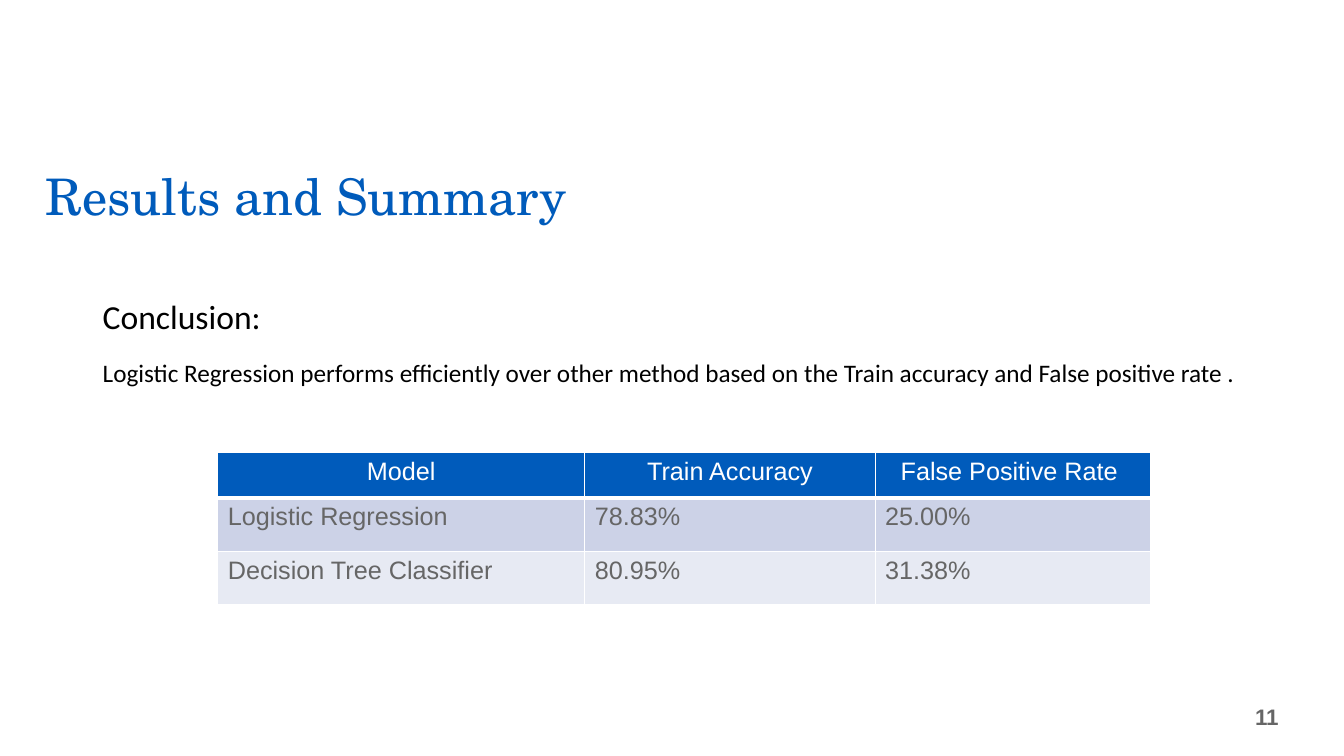
from lxml import etree
from pptx import Presentation
from pptx.dml.color import RGBColor
from pptx.enum.text import MSO_ANCHOR, PP_ALIGN
from pptx.oxml.ns import qn
from pptx.util import Inches, Pt

BLUE = RGBColor(0x00, 0x5B, 0xBB)
GRAY = RGBColor(0x66, 0x66, 0x66)
BLACK = RGBColor(0x00, 0x00, 0x00)
WHITE = RGBColor(0xFF, 0xFF, 0xFF)
ROW_FILLS = [BLUE, RGBColor(0xCC, 0xD2, 0xE7), RGBColor(0xE7, 0xEA, 0xF3)]

COL_WIDTHS = [3.64, 2.88, 2.73]
ROW_HEIGHTS = [0.45, 0.53, 0.53]
RESULTS = [
    ["Model", "Train Accuracy", "False Positive Rate "],
    ["Logistic Regression", "78.83%", "25.00%"],
    ["Decision Tree Classifier", "80.95%", "31.38%"],
]


def add_run(p, text, size, font, color, bold=False):
    """Append one formatted run to a paragraph."""
    r = p.add_run()
    r.text = text
    r.font.size = Pt(size)
    r.font.name = font
    r.font.color.rgb = color
    r.font.bold = bold


def add_text(s, box, lines, font, color, anchor=MSO_ANCHOR.TOP,
             align=PP_ALIGN.LEFT, spacing=None, bold=False):
    """Add a text box with one paragraph per (text, size) pair."""
    tf = s.shapes.add_textbox(*[Inches(v) for v in box]).text_frame
    tf.word_wrap = True
    tf.vertical_anchor = anchor
    for i, (text, size) in enumerate(lines):
        p = tf.add_paragraph() if i else tf.paragraphs[0]
        p.alignment = align
        p.line_spacing = spacing
        add_run(p, text, size, font, color, bold)


def add_borders(cell, color, bottom):
    """Draw a cell's four borders, with the bottom width given in points."""
    tc_pr = cell._tc.get_or_add_tcPr()
    for side, width in (("L", 1), ("R", 1), ("T", 1), ("B", bottom)):
        ln = etree.SubElement(tc_pr, qn(f"a:ln{side}"), w=str(Pt(width)))
        fill = etree.SubElement(ln, qn("a:solidFill"))
        etree.SubElement(fill, qn("a:srgbClr"), val=str(color))


def add_results_table(s, left, top):
    """Add the model comparison table."""
    table = s.shapes.add_table(
        len(RESULTS), len(COL_WIDTHS), Inches(left), Inches(top),
        Inches(sum(COL_WIDTHS)), Inches(sum(ROW_HEIGHTS))).table
    for col, width in zip(table.columns, COL_WIDTHS):
        col.width = Inches(width)
    for i, (row, height) in enumerate(zip(table.rows, ROW_HEIGHTS)):
        row.height = Inches(height)
        header = i == 0
        for cell, text in zip(row.cells, RESULTS[i]):
            add_borders(cell, WHITE, 3 if header else 1)
            cell.fill.solid()
            cell.fill.fore_color.rgb = ROW_FILLS[i]
            p = cell.text_frame.paragraphs[0]
            p.alignment = PP_ALIGN.CENTER if header else PP_ALIGN.LEFT
            add_run(p, text, 18, "Arial", WHITE if header else GRAY)


def main():
    """Build and save the results slide."""
    prs = Presentation()
    prs.slide_width, prs.slide_height = Inches(13.33), Inches(7.5)
    s = prs.slides.add_slide(prs.slide_layouts[6])
    add_text(s, (0.35, 1.49, 5.95, 0.81), [("Results and Summary", 36)],
             "TeX Gyre Schola", BLUE, anchor=MSO_ANCHOR.BOTTOM, spacing=0.9)
    add_text(s, (8.28, 6.91, 4.5, 0.4), [("11", 16)], "Arial", GRAY,
             anchor=MSO_ANCHOR.MIDDLE, align=PP_ALIGN.RIGHT, bold=True)
    add_results_table(s, 2.16, 4.49)
    add_text(s, (0.92, 2.78, 11.72, 1.05), [
        ("Conclusion:", 24),
        ("Logistic Regression performs efficiently over other method based on "
         "the Train accuracy and False positive rate .", 18),
    ], "Calibri", BLACK, spacing=Pt(36.4))
    prs.save("out.pptx")


if __name__ == "__main__":
    main()
